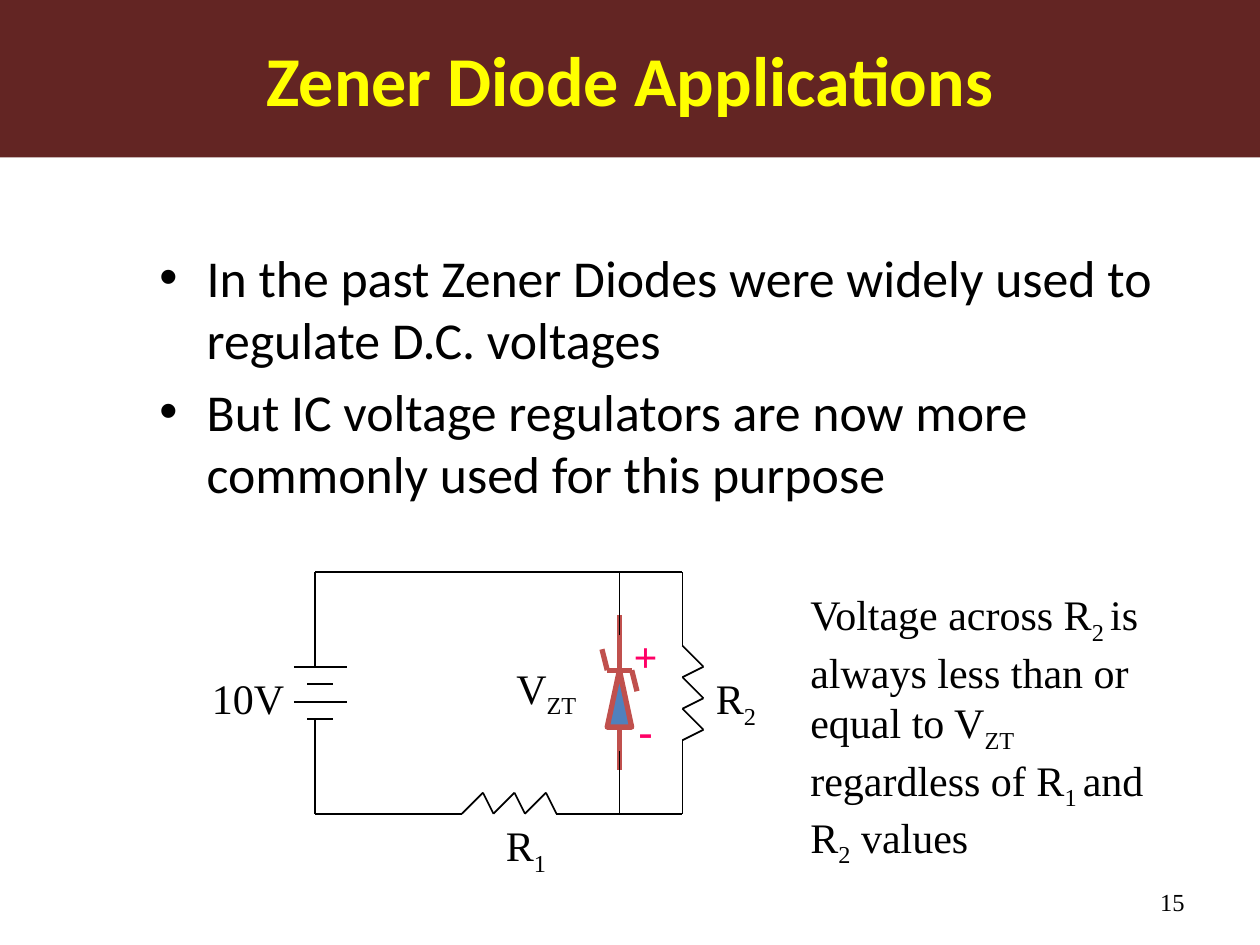
import pptx
import pptx.dml.color
import pptx.enum.shapes
import pptx.enum.text
import pptx.util
from pptx.oxml.ns import qn

Pt = pptx.util.Pt
RGBColor = pptx.dml.color.RGBColor
ALIGN = pptx.enum.text.PP_ALIGN
ANCHOR = pptx.enum.text.MSO_ANCHOR
SHAPE = pptx.enum.shapes.MSO_SHAPE

BLACK = RGBColor(0x00, 0x00, 0x00)
MAROON = RGBColor(0x63, 0x25, 0x23)
YELLOW = RGBColor(0xFF, 0xFF, 0x00)
PINK = RGBColor(0xFF, 0x00, 0x66)
DIODE_RED = RGBColor(0xC0, 0x50, 0x4D)
DIODE_BLUE = RGBColor(0x4F, 0x81, 0xBD)

SERIF = "Times New Roman"
SANS = "Calibri"


def style(font, name, size, color, bold=False):
    font.name = name
    font.size = Pt(size)
    font.color.rgb = color
    font.bold = bold


def add_text(slide, box, pieces, size=24, color=BLACK, bold=False,
             align=ALIGN.LEFT, anchor=ANCHOR.TOP):
    """Place one serif paragraph; every second piece is a subscript."""
    frame = slide.shapes.add_textbox(*map(Pt, box)).text_frame
    frame.word_wrap = True
    frame.vertical_anchor = anchor
    paragraph = frame.paragraphs[0]
    paragraph.alignment = align
    for index, piece in enumerate(pieces):
        run = paragraph.add_run()
        run.text = piece
        style(run.font, SERIF, size, color, bold)
        if index % 2:
            run._r.get_or_add_rPr().set("baseline", "-25000")


def add_wire(slide, points, color=BLACK, width=1):
    """Draw straight lines through the points in turn."""
    for start, end in zip(points, points[1:]):
        line = slide.shapes.add_connector(
            pptx.enum.shapes.MSO_CONNECTOR.STRAIGHT, *map(Pt, start + end))
        line.line.color.rgb = color
        line.line.width = Pt(width)
        properties = line._element.spPr
        properties.append(properties.makeelement(qn("a:effectLst"), {}))


def add_banner(slide, left, top, width, height):
    banner = slide.shapes.add_shape(SHAPE.RECTANGLE, *map(Pt, (left, top, width, height)))
    banner.shadow.inherit = False
    banner.fill.solid()
    banner.fill.fore_color.rgb = MAROON
    banner.line.fill.background()
    banner.text_frame.vertical_anchor = ANCHOR.MIDDLE
    title = banner.text_frame.paragraphs[0]
    title.alignment = ALIGN.CENTER
    run = title.add_run()
    run.text = "Zener Diode Applications"
    style(run.font, SANS, 40, YELLOW, True)


def add_bullets(slide, left, top, width, height, items):
    frame = slide.shapes.add_textbox(*map(Pt, (left, top, width, height))).text_frame
    frame.word_wrap = True
    for index, item in enumerate(items):
        paragraph = frame.add_paragraph() if index else frame.paragraphs[0]
        properties = paragraph._p.get_or_add_pPr()
        properties.set("marL", str(Pt(27)))
        properties.set("indent", str(-Pt(27)))
        for tag, attributes in (("a:buFont", {"typeface": "Arial"}),
                                ("a:buChar", {"char": "•"})):
            properties.append(properties.makeelement(qn(tag), attributes))
        if index:
            paragraph.space_before = Pt(5.5)
        run = paragraph.add_run()
        run.text = item
        style(run.font, SANS, 29.6, BLACK)


def zigzag(teeth=3, long_step=12, short_step=6, depth=12):
    """Return (distance along, distance aside) for each corner of a resistor."""
    points = [(0, 0)]
    for tooth in range(teeth):
        start = tooth * (long_step + short_step)
        points += [(start + long_step, depth), (start + long_step + short_step, 0)]
    return points


def add_battery(slide, center, top):
    for index, half in enumerate((15, 7.5, 15, 7.5)):
        y = top + 10 * index
        add_wire(slide, [(center - half, y), (center + half, y)])


def add_zener(slide, center, top):
    """Draw the diode with its upper lead starting at top."""
    half = 7
    bar, base, end = top + 31.5, top + 64, top + 88.5
    add_wire(slide, [(center, top), (center, bar)], DIODE_RED, 3)
    add_wire(slide, [(center, base), (center, end)], DIODE_RED, 3)
    body = slide.shapes.add_shape(
        SHAPE.ISOSCELES_TRIANGLE, *map(Pt, (center - half, bar, 2 * half, base - bar)))
    body.shadow.inherit = False
    body.fill.solid()
    body.fill.fore_color.rgb = DIODE_BLUE
    body.line.color.rgb = DIODE_RED
    body.line.width = Pt(3)
    add_wire(slide, [(center - half - 3, bar - 12), (center - half, bar),
                     (center + half, bar), (center + half + 3, bar + 12)], DIODE_RED, 3)


def add_circuit(slide, left, top, width, height):
    """Draw the loop of wire in the box, with its parts and labels around it."""
    right, bottom = left + width, top + height
    battery_top, battery_bottom = top + 54, top + 84
    diode_x = left + 174
    load = [(right + aside, top + 42 + along) for along, aside in zigzag()]
    series = [(left + 84 + along, bottom - aside) for along, aside in zigzag()]

    add_battery(slide, left + 3, battery_top)
    add_wire(slide, [(left, battery_top), (left, top), (right, top)]
             + load + [(right, bottom)])
    add_wire(slide, [(left, battery_bottom), (left, bottom)]
             + series + [(right, bottom)])
    add_zener(slide, diode_x, top + 24.5)
    add_wire(slide, [(diode_x, top + 102), (diode_x, bottom)])
    add_wire(slide, [(diode_x, top + 36), (diode_x, top)])

    labels = [
        (left - 66, top + 54, 60, ["10V"]),
        (left + 102, bottom, 42, ["R", "1"]),
        (right + 12, top + 54, 42, ["R", "2"]),
        (left + 108, top + 48, 72, ["V", "ZT"]),
    ]
    for x, y, label_width, pieces in labels:
        add_text(slide, (x, y, label_width, 36), pieces)
    for sign, y in (("+", top + 30), ("-", top + 72)):
        add_text(slide, (diode_x, y, 30, 36), [sign], color=PINK, bold=True,
                 align=ALIGN.CENTER)


def main():
    deck = pptx.Presentation()
    deck.slide_width, deck.slide_height = Pt(720), Pt(540)
    slide = deck.slides.add_slide(deck.slide_layouts[6])

    add_bullets(slide, 84, 137, 600, 148, [
        "In the past Zener Diodes were widely used to regulate D.C. voltages",
        "But IC voltage regulators are now more commonly used for this purpose",
    ])
    add_text(slide, (516, 501, 168, 28.5), ["15"], size=14,
             align=ALIGN.RIGHT, anchor=ANCHOR.MIDDLE)
    add_circuit(slide, 180, 327, 210, 138)
    add_text(slide, (456, 333, 210, 151), [
        "Voltage across R", "2 ", "is always less than or equal to V", "ZT ",
        "regardless of R", "1 ", "and R", "2", " values",
    ])
    add_banner(slide, 0, 0, 720, 90)
    deck.save("out.pptx")


if __name__ == "__main__":
    main()
